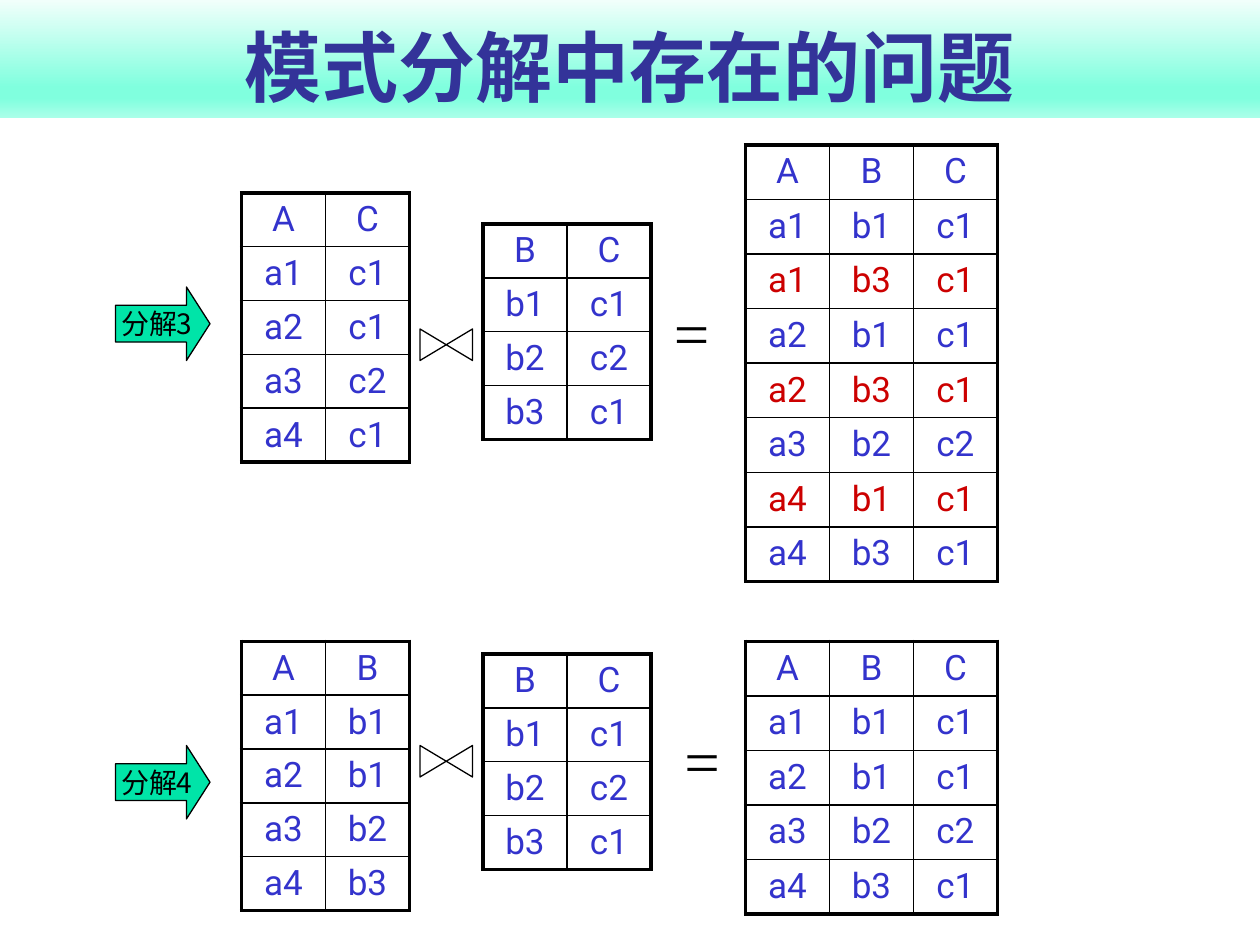
"""Slide comparing two lossy or lossless schema decompositions by joining their tables."""
from lxml import etree
from pptx import Presentation
from pptx.dml.color import RGBColor
from pptx.enum.shapes import MSO_SHAPE
from pptx.enum.text import MSO_ANCHOR, PP_ALIGN
from pptx.oxml.ns import qn
from pptx.util import Pt

CENTER = PP_ALIGN.CENTER
ARROW, BOWTIE = MSO_SHAPE.RIGHT_ARROW, MSO_SHAPE.FLOWCHART_COLLATE
CJK = "Noto Sans CJK JP"
COLORS = {"title": "333399", "cell": "3333CC", "extra": "CC0000",
          "black": "000000", "arrow": "00E4A8"}
BANNER = [(0, "F1FFFB"), (74, "80FFDE"), (83, "80FFDE"), (100, "AAFFE9")]


def add_run(p, text, size, font, color):
    r = p.add_run()
    r.text = text
    r.font.size = Pt(size)
    r.font.name = font
    r.font.color.rgb = RGBColor.from_string(COLORS[color])
    etree.SubElement(r.font._element, qn("a:ea"), typeface=CJK)
    return r


def add_relation(s, left, top, row_height, lines, extra=()):
    rows = [line.split() for line in lines]
    n, m = len(rows), len(rows[0])
    tbl = s.shapes.add_table(n, m, Pt(left), Pt(top), Pt(48 * m), Pt(row_height * n)).table
    tbl.first_row = tbl.horz_banding = False
    for col in tbl.columns:
        col.width = Pt(48)
    for i, row in enumerate(rows):
        tbl.rows[i].height = Pt(row_height)
        for j, text in enumerate(row):
            cell = tbl.cell(i, j)
            cell.fill.background()
            p = cell.text_frame.paragraphs[0]
            p.alignment = CENTER
            add_run(p, text, 20, "Roboto", "extra" if i in extra else "cell")
            tcPr = cell._tc.get_or_add_tcPr()
            outer = {"L": j == 0, "R": j == m - 1, "T": i == 0, "B": i == n - 1}
            for k, (side, thick) in enumerate(outer.items()):
                ln = etree.Element(qn(f"a:ln{side}"), w=str(Pt(2.25 if thick else 1)))
                fill = etree.SubElement(ln, qn("a:solidFill"))
                etree.SubElement(fill, qn("a:srgbClr"), val=COLORS["black"])
                tcPr.insert(k, ln)


prs = Presentation()
prs.slide_width, prs.slide_height = Pt(720), Pt(540)
s = prs.slides.add_slide(prs.slide_layouts[5])

title = s.shapes.title
title.left, title.top, title.width, title.height = Pt(0), Pt(0), Pt(720), Pt(67.5)
title.fill.gradient()
title.fill.gradient_angle = 270
stops = title._element.spPr.find(qn("a:gradFill")).find(qn("a:gsLst"))
for stop in list(stops):
    stops.remove(stop)
for pos, color in BANNER:
    stop = etree.SubElement(stops, qn("a:gs"), pos=str(pos * 1000))
    etree.SubElement(stop, qn("a:srgbClr"), val=color)
tf = title.text_frame
tf.vertical_anchor = MSO_ANCHOR.BOTTOM
p = tf.paragraphs[0]
p.alignment = CENTER
add_run(p, "模式分解中存在的问题", 44, "Roboto", "title").font.bold = True

BC = ["B C", "b1 c1", "b2 c2", "b3 c1"]
add_relation(s, 138, 110.25, 30.75, ["A C", "a1 c1", "a2 c1", "a3 c2", "a4 c1"])
add_relation(s, 276, 128, 30.75, BC)
add_relation(s, 426, 82.8, 31.2, ["A B C", "a1 b1 c1", "a1 b3 c1", "a2 b1 c1", "a2 b3 c1",
                                  "a3 b2 c2", "a4 b1 c1", "a4 b3 c1"], extra=(2, 4, 6))
add_relation(s, 138, 366.5, 30.75, ["A B", "a1 b1", "a2 b1", "a3 b2", "a4 b3"])
add_relation(s, 276, 373.7, 30.75, BC)
add_relation(s, 426, 366.5, 31.2, ["A B C", "a1 b1 c1", "a2 b1 c1", "a3 b2 c2", "a4 b3 c1"])

for label, arrow_top, join_top, equal_left, equal_top in [
        ("分解3", 164, 182, 378, 164), ("分解4", 426, 420, 384, 408.5)]:
    join = s.shapes.add_shape(BOWTIE, Pt(246), Pt(join_top), Pt(18), Pt(30))
    join.rotation = 90
    join.fill.background()

    arrow = s.shapes.add_shape(ARROW, Pt(66), Pt(arrow_top), Pt(54), Pt(42))
    arrow.adjustments[0], arrow.adjustments[1] = 0.5, 0.32
    arrow.fill.solid()
    arrow.fill.fore_color.rgb = RGBColor.from_string(COLORS["arrow"])
    tf = arrow.text_frame
    tf.word_wrap = False
    tf.vertical_anchor = MSO_ANCHOR.MIDDLE
    p = tf.paragraphs[0]
    p.alignment = CENTER
    add_run(p, label, 16, CJK, "black")

    for sp in (join, arrow):
        sp.shadow.inherit = False
        sp.line.color.rgb = RGBColor.from_string(COLORS["black"])
        sp.line.width = Pt(0.75)

    box = s.shapes.add_textbox(Pt(equal_left), Pt(equal_top), Pt(36), Pt(50.5))
    tf = box.text_frame
    tf.word_wrap = True
    add_run(tf.paragraphs[0], "=", 36, "Times New Roman", "black")

prs.save("out.pptx")
